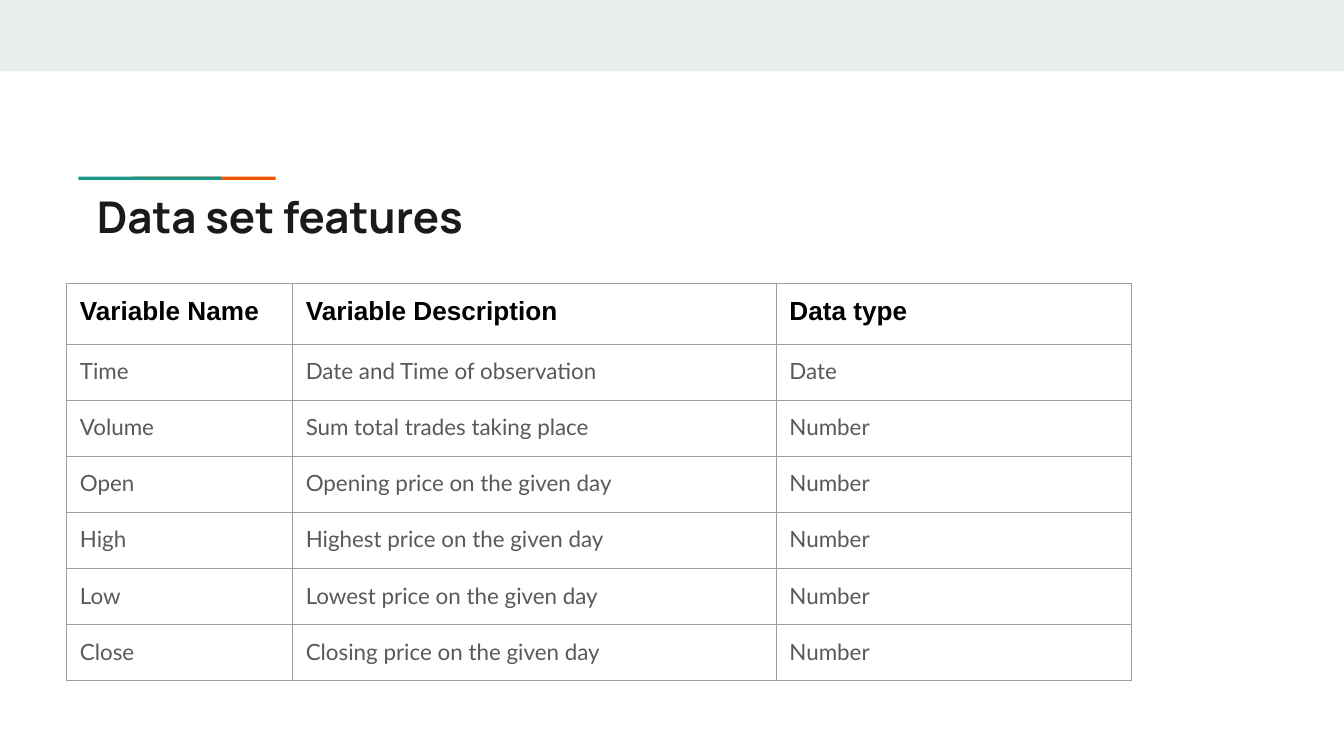
from dataclasses import dataclass

from lxml.etree import SubElement
from pptx import Presentation
from pptx.dml.color import RGBColor as Rgb
from pptx.enum.shapes import MSO_SHAPE as Shape
from pptx.enum.text import MSO_ANCHOR as Anchor
from pptx.oxml.ns import qn
from pptx.util import Cm, Pt


@dataclass(frozen=True)
class TextStyle:
    """Font settings for one kind of text."""
    font: str
    size: float
    color: str
    bold: bool = False


@dataclass(frozen=True)
class Theme:
    """Colours, type sizes and measures of the deck."""
    band: str = "E9EDEE"
    teal: str = "1A9988"
    orange: str = "EB5600"
    grid: str = "9E9E9E"
    grid_width: float = 0.75
    inset: float = 0.25
    title: TextStyle = TextStyle("Manrope", 23.4, "1A1A1A", True)
    header: TextStyle = TextStyle("Arial", 14, "000000", True)
    body: TextStyle = TextStyle("Lato", 12, "595959")


class SlideBuilder:
    """Draws themed elements on the current slide."""

    def __init__(self, slide, theme):
        self.slide = slide
        self.theme = theme

    def bar(self, left, top, width, height, color):
        """Add a plain filled rectangle."""
        bar = self.slide.shapes.add_shape(
            Shape.RECTANGLE, Cm(left), Cm(top), Cm(width), Cm(height))
        bar.shadow.inherit = False
        bar.fill.solid()
        bar.fill.fore_color.rgb = Rgb.from_string(color)
        bar.line.fill.background()

    def add_words(self, frame, words, style):
        """Add one styled run to the first paragraph."""
        run = frame.paragraphs[0].add_run()
        run.text = words
        run.font.name = style.font
        run.font.size = Pt(style.size)
        run.font.bold = style.bold
        run.font.color.rgb = Rgb.from_string(style.color)

    def pad(self, holder):
        """Give a cell or text frame equal insets on all sides."""
        inset = Cm(self.theme.inset)
        holder.margin_left = holder.margin_right = inset
        holder.margin_top = holder.margin_bottom = inset

    def title(self, words, left, top, width, height):
        """Add the slide title."""
        frame = self.slide.shapes.add_textbox(
            Cm(left), Cm(top), Cm(width), Cm(height)).text_frame
        frame.word_wrap = True
        frame.vertical_anchor = Anchor.MIDDLE
        self.pad(frame)
        self.add_words(frame, words, self.theme.title)

    def outline(self, cell):
        """Draw the grid line on each side of a cell."""
        properties = cell._tc.get_or_add_tcPr()
        for side in ("lnL", "lnR", "lnT", "lnB"):
            line = SubElement(properties, qn(f"a:{side}"),
                              w=str(Pt(self.theme.grid_width)))
            fill = SubElement(line, qn("a:solidFill"))
            SubElement(fill, qn("a:srgbClr"), val=self.theme.grid)

    def table(self, rows, left, top, widths, header_height, row_height):
        """Add a ruled table whose first row is the header."""
        heights = [header_height] + [row_height] * (len(rows) - 1)
        table = self.slide.shapes.add_table(
            len(rows), len(widths), Cm(left), Cm(top),
            Cm(sum(widths)), Cm(sum(heights))).table
        table.first_row = table.horz_banding = False
        for column, width in zip(table.columns, widths):
            column.width = Cm(width)
        for index, (row, height) in enumerate(zip(table.rows, heights)):
            row.height = Cm(height)
            style = self.theme.body if index else self.theme.header
            for cell, words in zip(row.cells, rows[index]):
                self.pad(cell)
                self.outline(cell)
                cell.fill.background()
                self.add_words(cell.text_frame, words, style)


FEATURES = [
    ("Variable Name", "Variable Description", "Data type"),
    ("Time", "Date and Time of observation", "Date"),
    ("Volume", "Sum total trades taking place", "Number"),
    ("Open", "Opening price on the given day", "Number"),
    ("High", "Highest price on the given day", "Number"),
    ("Low", "Lowest price on the given day", "Number"),
    ("Close", "Closing price on the given day", "Number"),
]


def main():
    """Build the data set features slide."""
    deck = Presentation()
    deck.slide_width, deck.slide_height = Cm(25.4), Cm(14.29)
    theme = Theme()
    builder = SlideBuilder(deck.slides.add_slide(deck.slide_layouts[6]), theme)
    builder.bar(0, 0, 25.4, 1.35, theme.band)
    for left, color in ((2.51, theme.orange), (1.48, theme.teal)):
        builder.bar(left, 3.34, 2.7, 0.06, color)
    builder.title("Data set features", 1.58, 3.33, 21.36, 1.5)
    builder.table(FEATURES, 1.26, 5.36, (4.27, 9.14, 6.71), 1.15, 1.06)
    deck.save("out.pptx")


if __name__ == "__main__":
    main()
